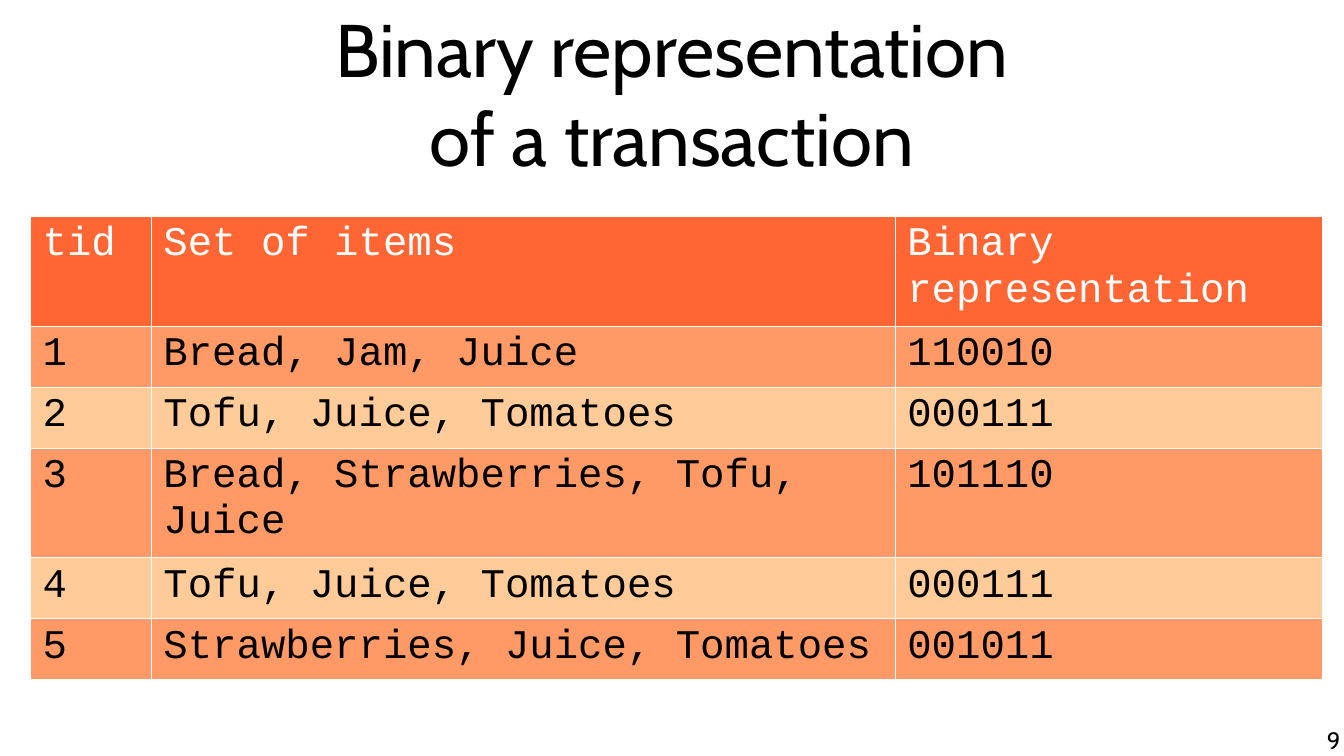
import pptx
import pptx.dml.color
import pptx.enum.text
import pptx.oxml
import pptx.oxml.ns
import pptx.util

RGBColor = pptx.dml.color.RGBColor
PP_ALIGN = pptx.enum.text.PP_ALIGN
MSO_ANCHOR = pptx.enum.text.MSO_ANCHOR
Inches, Pt = pptx.util.Inches, pptx.util.Pt

BLACK = RGBColor(0x00, 0x00, 0x00)
WHITE = RGBColor(0xFF, 0xFF, 0xFF)
HEADER = RGBColor(0xFF, 0x66, 0x33)
ODD = RGBColor(0xFF, 0x99, 0x66)
EVEN = RGBColor(0xFF, 0xCC, 0x99)

TITLE_FONT = {"name": "Cabin", "size": Pt(44)}
NUMBER_FONT = {"name": "Cabin", "size": Pt(14)}
TABLE_FONT = {"name": "Courier New", "size": Pt(24)}

# Table grid, in inches
LEFT, TOP = 0.25, 1.77
COLUMNS = (0.99, 6.1, 3.5)
ONE_LINE, TWO_LINES = 0.5, 0.89
ROWS = (TWO_LINES, ONE_LINE, ONE_LINE, TWO_LINES, ONE_LINE, ONE_LINE)

TRANSACTIONS = (
    ("tid", "Set of items", "Binary representation"),
    ("1", "Bread, Jam, Juice", "110010"),
    ("2", "Tofu, Juice, Tomatoes", "000111"),
    ("3", "Bread, Strawberries, Tofu, Juice", "101110"),
    ("4", "Tofu, Juice, Tomatoes", "000111"),
    ("5", "Strawberries, Juice, Tomatoes", "001011"),
)


def format_text(p, font, color, align=PP_ALIGN.LEFT):
    p.alignment = align
    for r in p.runs:
        for key, value in font.items():
            setattr(r.font, key, value)
        r.font.color.rgb = color


def add_text(slide, box, text, font, align, anchor):
    sp = slide.shapes.add_textbox(*map(Inches, box))
    tf = sp.text_frame
    frame = {"word_wrap": True, "vertical_anchor": anchor, "margin_left": 0,
             "margin_right": 0, "margin_top": 0, "margin_bottom": 0}
    for key, value in frame.items():
        setattr(tf, key, value)
    p = tf.paragraphs[0]
    p.text = text
    format_text(p, font, BLACK, align)


def add_borders(cell, color, width):
    # Border lines come before the fill in the cell properties
    tc_pr = cell._tc.get_or_add_tcPr()
    for i, side in enumerate(("lnL", "lnR", "lnT", "lnB")):
        tc_pr.insert(i, pptx.oxml.parse_xml(
            f'<a:{side} {pptx.oxml.ns.nsdecls("a")} w="{Pt(width)}">'
            f'<a:solidFill><a:srgbClr val="{color}"/></a:solidFill></a:{side}>'))


def fill_cell(cell, text, fill, color):
    cell.fill.solid()
    cell.fill.fore_color.rgb = fill
    p = cell.text_frame.paragraphs[0]
    p.text = text
    format_text(p, TABLE_FONT, color)
    add_borders(cell, WHITE, 0.06)


def add_table(slide):
    table = slide.shapes.add_table(
        len(ROWS), len(COLUMNS), Inches(LEFT), Inches(TOP),
        Inches(sum(COLUMNS)), Inches(sum(ROWS))).table
    for column, width in zip(table.columns, COLUMNS):
        column.width = Inches(width)
    for i, (height, texts) in enumerate(zip(ROWS, TRANSACTIONS)):
        table.rows[i].height = Inches(height)
        fill = HEADER if i == 0 else ODD if i % 2 else EVEN
        color = WHITE if i == 0 else BLACK
        for j, text in enumerate(texts):
            fill_cell(table.cell(i, j), text, fill, color)


def main():
    prs = pptx.Presentation()
    prs.slide_width, prs.slide_height = Inches(11.02), Inches(6.2)
    slide = prs.slides.add_slide(prs.slide_layouts[6])

    # Title
    add_text(slide, (0.55, -0.08, 9.92, 1.67),
             "Binary representation\vof a transaction",
             TITLE_FONT, PP_ALIGN.CENTER, MSO_ANCHOR.MIDDLE)
    # Transactions
    add_table(slide)
    # Slide number
    add_text(slide, (8.42, 5.95, 2.57, 0.25), "9",
             NUMBER_FONT, PP_ALIGN.RIGHT, MSO_ANCHOR.TOP)

    prs.save("out.pptx")


if __name__ == "__main__":
    main()
